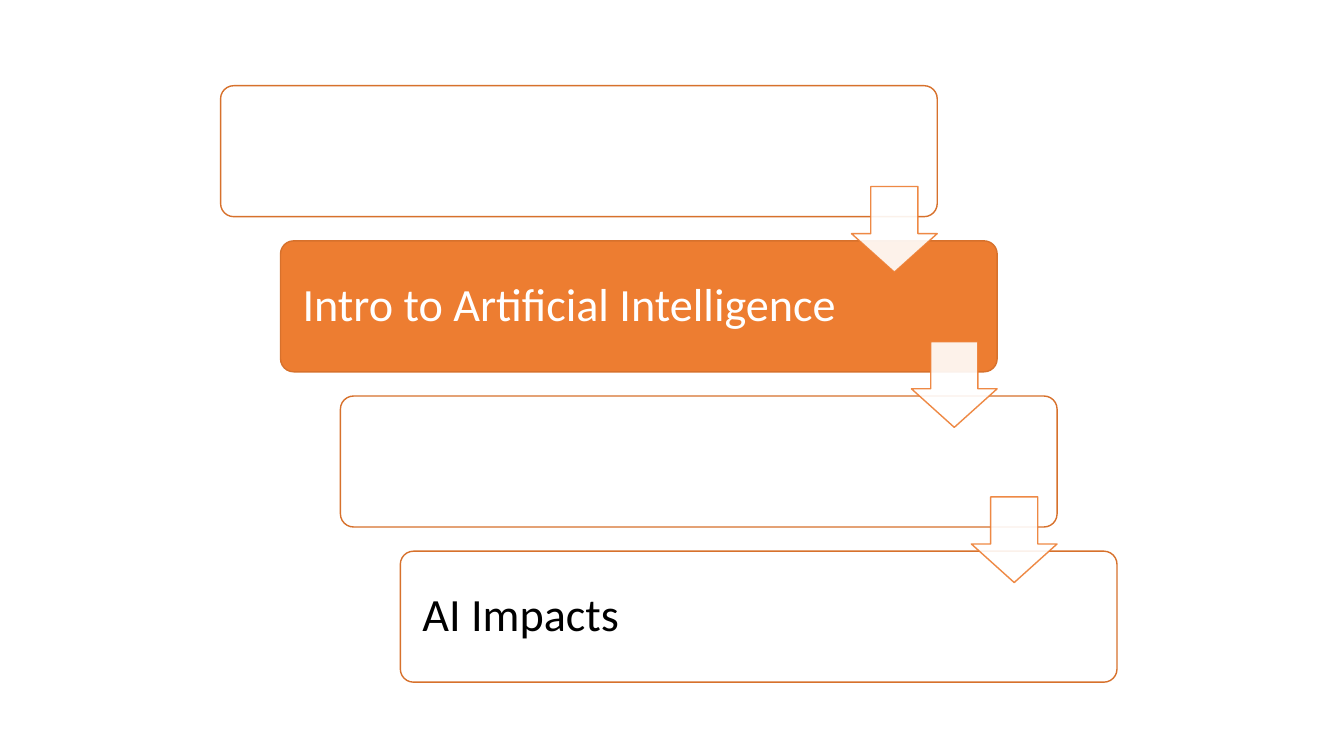
from lxml import etree
from pptx import Presentation
from pptx import util as u
from pptx.dml.color import RGBColor
from pptx.enum import shapes, text
from pptx.oxml import ns

STEPS = [
    ("", "FFFFFF"),
    ("Intro to Artificial Intelligence", "ED7D31"),
    ("", "FFFFFF"),
    ("AI Impacts", "FFFFFF"),
]
STEP_WIDTH, STEP_HEIGHT = 18.06, 3.3
SHIFT_RIGHT, SHIFT_DOWN = 1.51, 3.91
ARROW_SIZE, ARROW_DROP = 2.16, 2.54


def paint(color_format, color):
    """Apply a hex colour to a colour format."""
    color_format.rgb = RGBColor.from_string(color)


def add_outline(slide, preset, box, fill, line, adjustments):
    """Add a flat preset shape in a box given in centimetres."""
    outline = slide.shapes.add_shape(preset, *(u.Cm(length) for length in box))
    outline.shadow.inherit = False
    outline.fill.solid()
    paint(outline.fill.fore_color, fill)
    outline.line.fill.solid()
    paint(outline.line.color, line)
    outline.line.width = u.Pt(1)
    for index, value in enumerate(adjustments):
        outline.adjustments[index] = value
    return outline


def write(frame, wording, size=33, color="000000", font="Calibri", inset=0.46):
    """Write one left-aligned, vertically centred paragraph."""
    frame.word_wrap = True
    frame.vertical_anchor = text.MSO_ANCHOR.MIDDLE
    frame.margin_left = frame.margin_right = u.Cm(inset)
    paragraph = frame.paragraphs[0]
    paragraph.alignment = text.PP_ALIGN.LEFT
    paragraph.line_spacing = 0.9
    run = paragraph.add_run()
    run.text = wording
    run.font.name = font
    run.font.size = u.Pt(size)
    paint(run.font.color, color)


def add_step(slide, left, top, wording, fill):
    """Draw one rounded step with its wording."""
    step = add_outline(slide, shapes.MSO_SHAPE.ROUNDED_RECTANGLE,
                       (left, top, STEP_WIDTH, STEP_HEIGHT), fill, "D7712C", [0.1])
    if wording:
        write(step.text_frame, wording, color="000000" if fill == "FFFFFF" else "FFFFFF")


def add_arrow(slide, left, top):
    """Draw the translucent arrow leading down from the step at left, top."""
    arrow = add_outline(slide, shapes.MSO_SHAPE.DOWN_ARROW,
                        (left + STEP_WIDTH - ARROW_SIZE, top + ARROW_DROP, ARROW_SIZE, ARROW_SIZE),
                        "FFFFFF", "ED7D31", [0.55, 0.45])
    for color in arrow.element.spPr.iter(ns.qn("a:srgbClr")):
        etree.SubElement(color, ns.qn("a:alpha"), val="90000")


def add_staircase(slide, left, top):
    """Place the steps down a diagonal, then the arrows between them."""
    corners = [(left + i * SHIFT_RIGHT, top + i * SHIFT_DOWN) for i in range(len(STEPS))]
    for corner, (wording, fill) in zip(corners, STEPS):
        add_step(slide, *corner, wording, fill)
    for corner in corners[:-1]:
        add_arrow(slide, *corner)


def main():
    """Build and save the presentation."""
    deck = Presentation()
    deck.slide_width, deck.slide_height = u.Cm(33.87), u.Cm(19.05)
    slide = deck.slides.add_slide(deck.slide_layouts[6])
    add_staircase(slide, 5.56, 2.16)
    deck.save("out.pptx")


if __name__ == "__main__":
    main()
